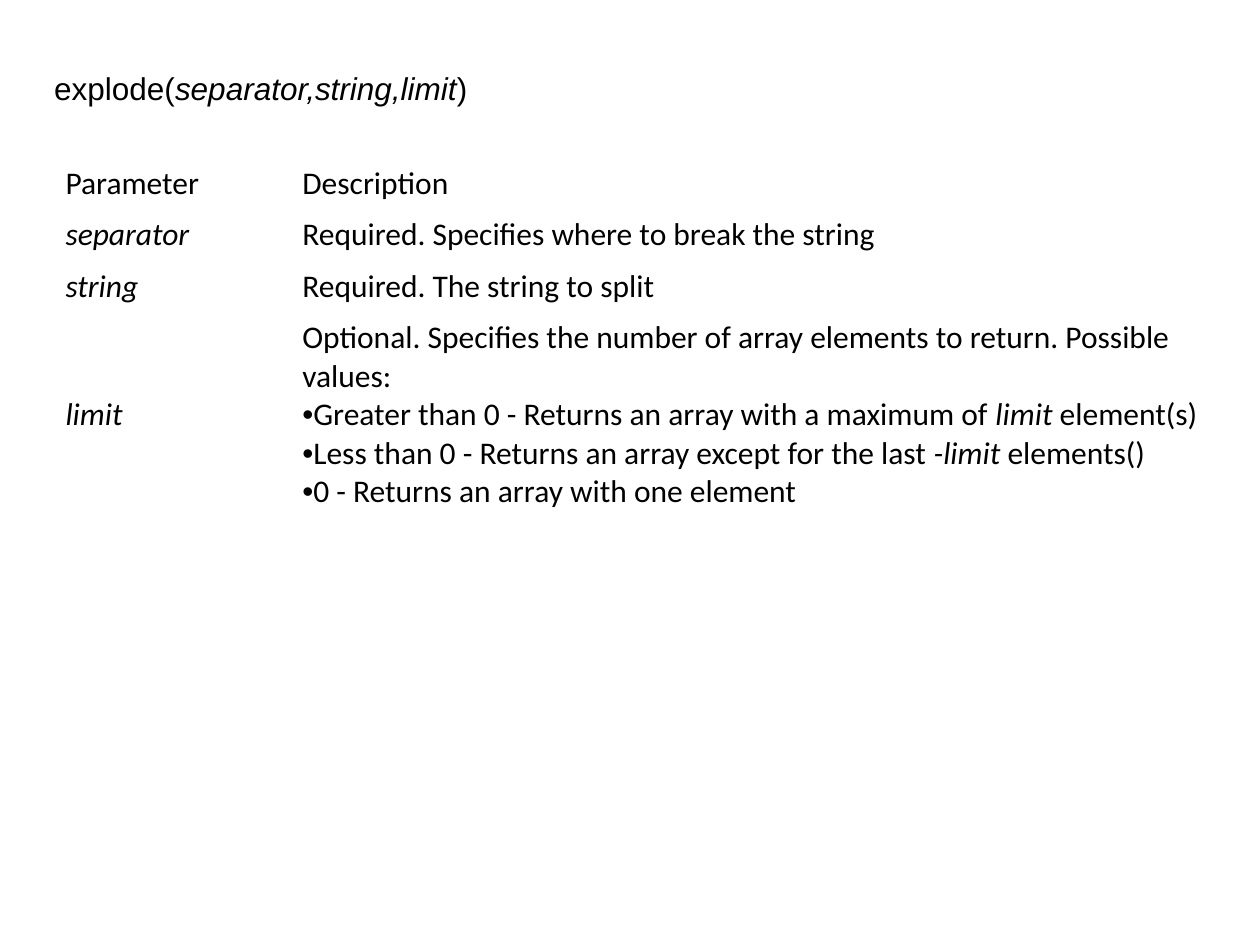
from lxml import etree
from pptx import Presentation
from pptx.dml.color import RGBColor
from pptx.enum.text import MSO_ANCHOR, MSO_AUTO_SIZE, PP_ALIGN
from pptx.oxml.ns import qn
from pptx.util import Inches, Pt

TITLE_ONLY = 5
TOP, MIDDLE = MSO_ANCHOR.TOP, MSO_ANCHOR.MIDDLE
LEFT = PP_ALIGN.LEFT
NO_AUTOFIT = MSO_AUTO_SIZE.NONE
BLACK = "000000"
COLUMN_WIDTHS = (1.88, 7.53)
ROW_HEIGHTS = (0.41, 0.41, 0.41, 1.62)

# Each paragraph alternates upright and italic text, starting upright
SIGNATURE = ("explode(", "separator,string,limit", ")")
PARAMETERS = (
    (("Parameter",), (("Description",),)),
    (("", "separator"), (("Required. Specifies where to break the string",),)),
    (("", "string"), (("Required. The string to split",),)),
    (("", "limit"), (
        ("Optional. Specifies the number of array elements to return. "
         "Possible values:",),
        ("Greater than 0 - Returns an array with a maximum of ", "limit",
         " element(s)"),
        ("Less than 0 - Returns an array except for the last ", "-limit",
         " elements()"),
        ("0 - Returns an array with one element",),
    )),
)


def set_color(color_format, value):
    color_format.rgb = RGBColor.from_string(value)


def write_runs(paragraph, parts, font_name):
    paragraph.alignment = LEFT
    for index, text in enumerate(parts):
        if not text:
            continue
        run = paragraph.add_run()
        run.text = text
        formats = {"name": font_name, "size": Pt(18), "bold": False,
                   "italic": index % 2 == 1}
        for name, value in formats.items():
            setattr(run.font, name, value)
        set_color(run.font.color, BLACK)


def add_bullet(paragraph):
    properties = paragraph._p.get_or_add_pPr()
    properties.set("marL", "0")
    properties.set("indent", "0")
    etree.SubElement(properties, qn("a:buFont")).set("typeface", "Arial")
    etree.SubElement(properties, qn("a:buChar")).set("char", "•")


def fill_cell(cell, paragraphs):
    cell.fill.background()
    cell.vertical_anchor = MIDDLE
    frame = cell.text_frame
    for index, parts in enumerate(paragraphs):
        paragraph = frame.add_paragraph() if index else frame.paragraphs[0]
        write_runs(paragraph, parts, "Calibri")
        if index:
            add_bullet(paragraph)


def add_signature(slide):
    title = slide.shapes.title
    box = {"left": 0.33, "top": 0.5, "width": 5.75, "height": 1.01}
    for name, value in box.items():
        setattr(title, name, Inches(value))
    frame = title.text_frame
    formats = {"vertical_anchor": TOP, "word_wrap": True,
               "auto_size": NO_AUTOFIT}
    for name, value in formats.items():
        setattr(frame, name, value)
    write_runs(frame.paragraphs[0], SIGNATURE, "Arial")


def add_parameter_table(slide):
    table = slide.shapes.add_table(
        len(PARAMETERS), len(COLUMN_WIDTHS), Inches(0.42), Inches(1.25),
        Inches(sum(COLUMN_WIDTHS)), Inches(sum(ROW_HEIGHTS))).table
    table.first_row = False
    table.horz_banding = False
    for column, width in zip(table.columns, COLUMN_WIDTHS):
        column.width = Inches(width)
    for row, height, (name, description) in zip(
            table.rows, ROW_HEIGHTS, PARAMETERS):
        row.height = Inches(height)
        fill_cell(row.cells[0], (name,))
        fill_cell(row.cells[1], description)
    # Plain table style without grid lines
    style = table._tbl.tblPr.find(qn("a:tableStyleId"))
    style.text = "{2D5ABB26-0587-4C30-8999-92F81FD0307C}"


def main():
    presentation = Presentation()
    presentation.slide_width = Inches(10)
    presentation.slide_height = Inches(7.5)
    slide = presentation.slides.add_slide(
        presentation.slide_layouts[TITLE_ONLY])
    add_parameter_table(slide)
    add_signature(slide)
    presentation.save("out.pptx")


main()
